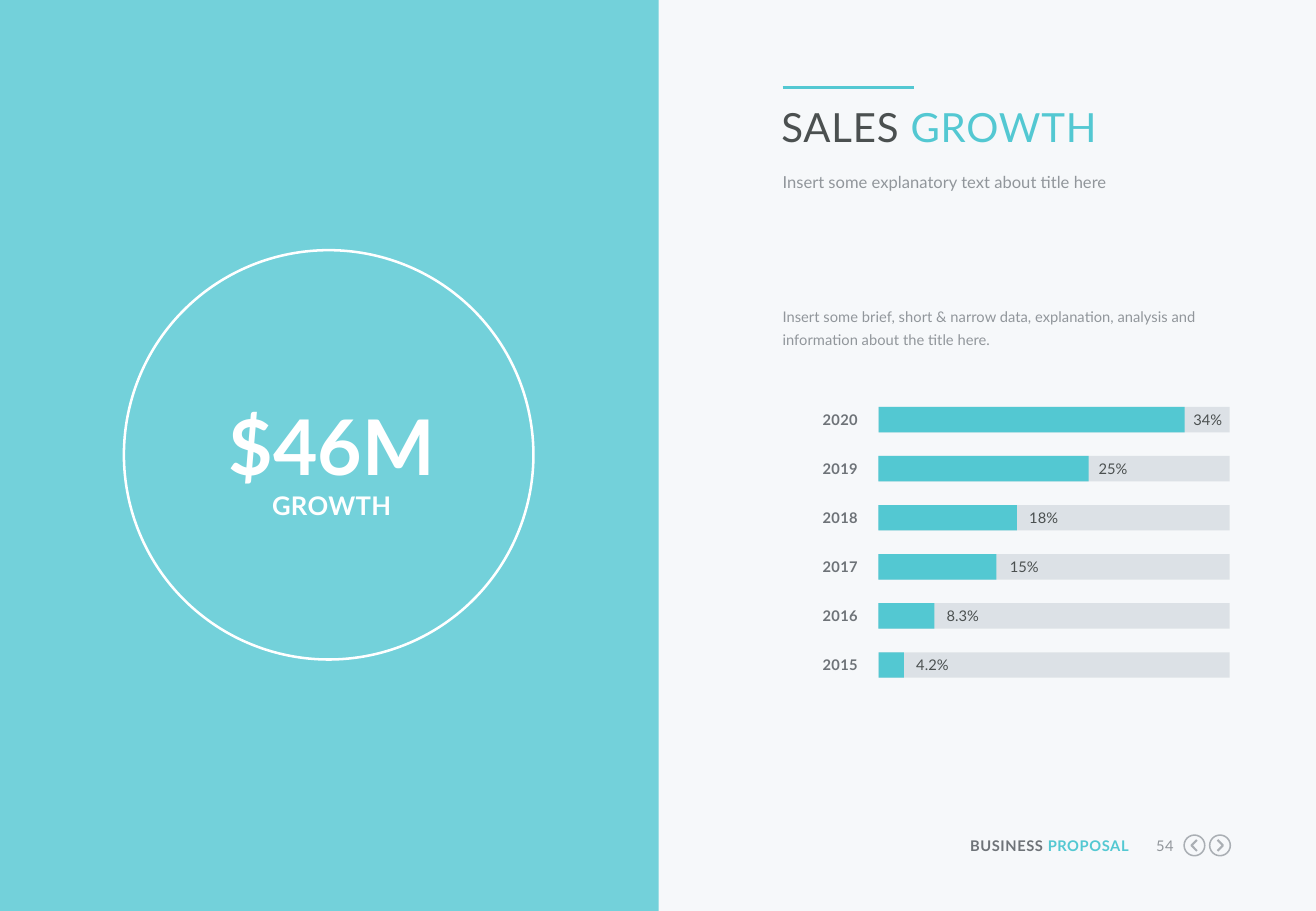
"""Build the sales growth slide with its yearly bars."""
from lxml import etree
from pptx import Presentation
from pptx.dml.color import RGBColor
from pptx.enum import shapes, text
from pptx.oxml import ns
from pptx.util import Inches, Pt

COLORS = {
    "paper": "F6F8FA", "teal": "53C8D2", "white": "FFFFFF", "track": "DCE1E6",
    "dark": "4B5050", "label": "6E7378", "muted": "91969B", "icon": "AAAFB4",
}
RGB = {name: RGBColor.from_string(value) for name, value in COLORS.items()}
LEFT, CENTER, RIGHT = text.PP_ALIGN.LEFT, text.PP_ALIGN.CENTER, text.PP_ALIGN.RIGHT


def write(place, parts, size, align=LEFT, bold=False, tracking=0, leading=None, box=None):
    """Put coloured text parts in a marginless box at the given place."""
    left, top, width, height = map(Inches, place)
    box = box or slide.shapes.add_textbox(left, top, width, height)
    box.left, box.top, box.width, box.height = left, top, width, height
    frame = box.text_frame
    frame.margin_left = frame.margin_top = frame.margin_right = frame.margin_bottom = 0
    frame.word_wrap = True
    frame.auto_size = text.MSO_AUTO_SIZE.NONE
    frame.vertical_anchor = text.MSO_ANCHOR.TOP
    paragraph = frame.paragraphs[0]
    paragraph.alignment = align
    paragraph.line_spacing = leading
    paragraph.font.name = "Lato"
    paragraph.font.size = Pt(size)
    paragraph.font.bold = bold
    for words, color in parts:
        run = paragraph.add_run()
        run.text = words
        run.font.color.rgb = RGB[color]
        if tracking:
            run._r.get_or_add_rPr().set("spc", str(round(tracking * 100)))


def draw(kind, place, fill=None, line=None, weight=1):
    """Add a flat preset shape with an optional fill and outline."""
    shape = slide.shapes.add_shape(kind, *map(Inches, place))
    shape.shadow.inherit = False
    if fill:
        shape.fill.solid()
        shape.fill.fore_color.rgb = RGB[fill]
    else:
        shape.fill.background()
    if line:
        shape.line.color.rgb = RGB[line]
        shape.line.width = Pt(weight)
    else:
        shape.line.fill.background()
    return shape


prs = Presentation()
prs.slide_width, prs.slide_height = Inches(10.83), Inches(7.5)
slide = prs.slides.add_slide(prs.slide_layouts[5])
slide.background.fill.solid()
slide.background.fill.fore_color.rgb = RGB["paper"]

RECT, OVAL = shapes.MSO_SHAPE.RECTANGLE, shapes.MSO_SHAPE.OVAL

panel = draw(RECT, (0, 0, 5.42, 7.5), "teal")
panel_color = panel.fill._xPr.find(".//" + ns.qn("a:srgbClr"))
etree.SubElement(panel_color, ns.qn("a:alpha"), val="80000")
draw(OVAL, (1.02, 2.06, 3.37, 3.37), line="white", weight=1.5)
write((1.6, 3.13, 2.26, 0.92), [("$46M", "white")], 45.5, CENTER, True, leading=1.2)
write((1.6, 4.03, 2.26, 0.26), [("GROWTH", "white")], 15.2, CENTER, True, 0.2)

rule = slide.shapes.add_connector(
    shapes.MSO_CONNECTOR.STRAIGHT, Inches(6.44), Inches(0.72), Inches(7.52), Inches(0.72))
rule.line.color.rgb = RGB["teal"]
rule.line.width = Pt(2.25)
etree.SubElement(rule._element.spPr, ns.qn("a:effectLst"))
write((6.43, 0.84, 3.7, 0.4), [("SALES ", "dark"), ("GROWTH", "teal")], 23.8,
      tracking=0.5, box=slide.shapes.title)
write((6.44, 1.41, 3.69, 0.17),
      [("Insert some explanatory text about title here", "muted")], 9.8, leading=Pt(12))
write((6.44, 2.49, 3.68, 0.38),
      [("Insert some brief, short & narrow data, explanation, analysis and "
        "information about the title here.", "muted")], 8.7, leading=1.3)

growth_by_year = [
    ("2020", "34%", 2.52, 9.82), ("2019", "25%", 1.73, 9.04),
    ("2018", "18%", 1.14, 8.47), ("2017", "15%", 0.97, 8.31),
    ("2016", "8.3%", 0.46, 7.79), ("2015", "4.2%", 0.21, 7.54),
]
for row, (year, growth, bar_width, growth_left) in enumerate(growth_by_year):
    top = 3.35 + row * 0.404
    write((6.43, top + 0.03, 0.63, 0.15), [(year, "label")], 8.7, RIGHT, True, 0.2)
    draw(RECT, (7.23, top, 2.89, 0.21), "track")
    draw(RECT, (7.23, top, bar_width, 0.21), "teal")
    write((growth_left, top + 0.03, 0.29, 0.15), [(growth, "dark")], 8.7)

write((7.92, 6.89, 1.37, 0.15), [("BUSINESS ", "label"), ("PROPOSAL", "teal")],
      8.7, RIGHT, True, 0.3)
write((9.41, 6.89, 0.25, 0.15), [("54", "muted")], 8.7, RIGHT, tracking=0.3)
for center, direction in ((9.83, -1), (10.04, 1)):
    draw(OVAL, (center - 0.085, 6.875, 0.17, 0.17), line="icon", weight=0.9)
    tail, tip = center - direction * 0.02, center + direction * 0.025
    outline = slide.shapes.build_freeform(Inches(tail), Inches(6.915))
    outline.add_line_segments(
        [(Inches(tip), Inches(6.96)), (Inches(tail), Inches(7.005))], close=False)
    chevron = outline.convert_to_shape()
    chevron.shadow.inherit = False
    chevron.fill.background()
    chevron.line.color.rgb = RGB["icon"]
    chevron.line.width = Pt(1.25)

prs.save("out.pptx")
